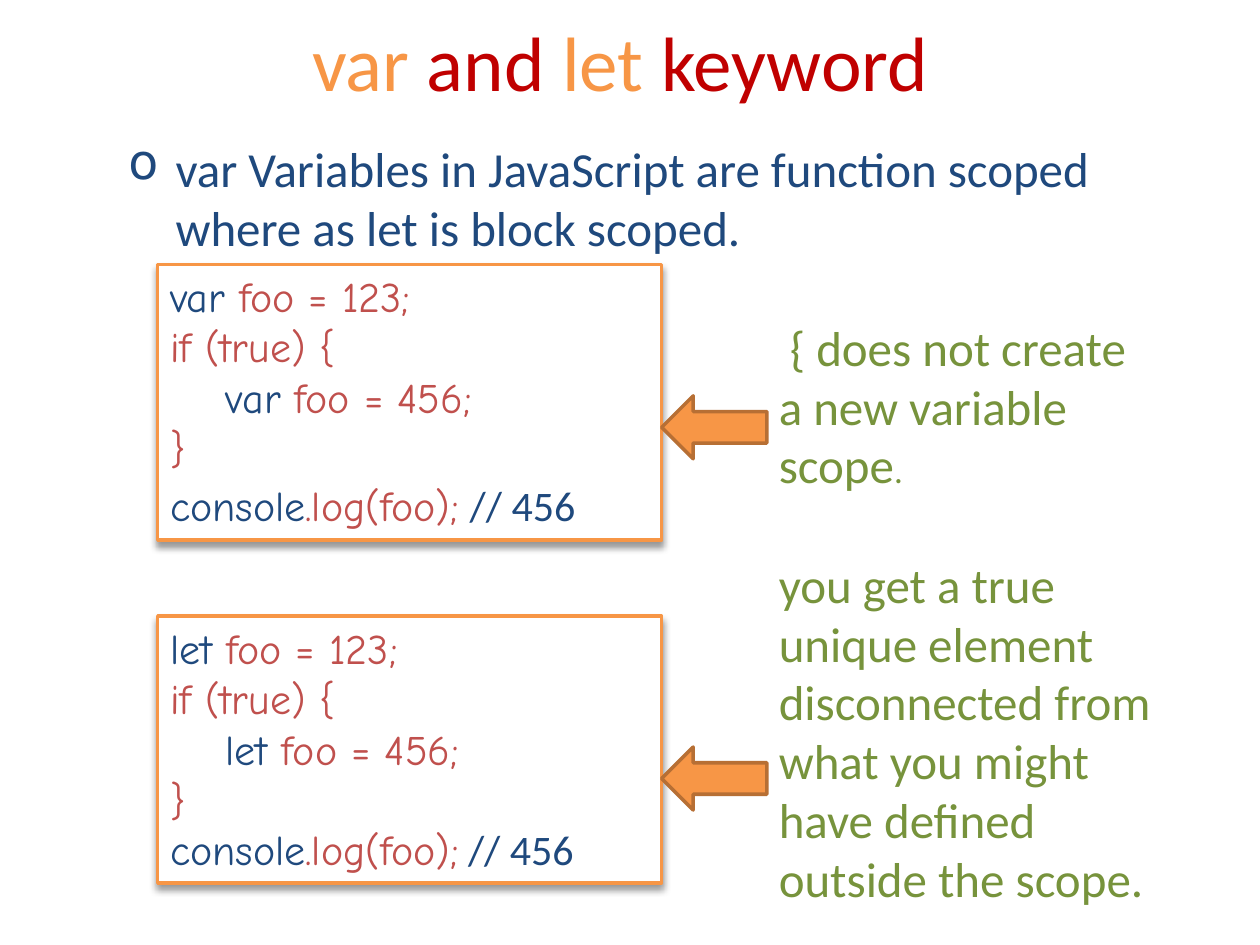
from lxml import etree
from pptx import Presentation
from pptx import util as u
from pptx.dml import color
from pptx.enum import shapes, text
from pptx.oxml import ns

COLORS = {"orange": "F79646", "rust": "B76F34", "crimson": "C00000",
          "red": "C0504D", "navy": "1F497D", "green": "77933C",
          "white": "FFFFFF"}
SHADOW = ('<a:effectLst xmlns:a="%s"><a:outerShdw blurRad="50800" dist="38100" '
          'dir="5400000" rotWithShape="0"><a:srgbClr val="000000">'
          '<a:alpha val="40000"/></a:srgbClr></a:outerShdw></a:effectLst>'
          % ns.nsuri("a"))


def rgb(name):
    return color.RGBColor.from_string(COLORS[name])


def write(sp, paragraphs, font, size, **frame):
    """Fill a shape with paragraphs of (text, colour, font overrides) runs."""
    tf = sp.text_frame
    for key, value in {"word_wrap": True, **frame}.items():
        setattr(tf, key, value)
    for i, runs in enumerate(paragraphs):
        p = tf.paragraphs[0] if i == 0 else tf.add_paragraph()
        p.alignment = text.PP_ALIGN.LEFT
        for words, name, *extra in runs:
            r = p.add_run()
            r.text = words
            fmt = {"name": font, "size": u.Pt(size), **(extra[0] if extra else {})}
            for key, value in fmt.items():
                setattr(r.font, key, value)
            r.font.color.rgb = rgb(name)
    return tf


prs = Presentation()
prs.slide_width, prs.slide_height = u.Cm(25.4), u.Cm(19.05)
s = prs.slides.add_slide(prs.slide_layouts[6])

# Title
sp = s.shapes.add_textbox(u.Cm(1.07), u.Cm(0.2), u.Cm(22.86), u.Cm(2.03))
tf = write(sp, [[("var ", "orange"), ("and ", "crimson"),
                 ("let ", "orange"), ("keyword", "crimson")]],
           "Calibri", 44, vertical_anchor=text.MSO_ANCHOR.MIDDLE)
tf.paragraphs[0].alignment = text.PP_ALIGN.CENTER

# Bulleted statement
sp = s.shapes.add_textbox(u.Cm(2.34), u.Cm(2.67), u.Cm(21.39), u.Cm(2.64))
tf = write(sp, [[("var Variables in JavaScript are function scoped "
                  "where as let is block scoped.", "navy")]], "Calibri", 28)
pPr = tf.paragraphs[0]._p.get_or_add_pPr()
pPr.set("marL", str(u.Cm(0.95)))
pPr.set("indent", str(-u.Cm(0.95)))
etree.SubElement(pPr, ns.qn("a:buChar")).set("char", "o")

# Code boxes, each with an arrow and a remark
# keyword, box top and height, space size, arrow top, remark place, remark
examples = [
    ("var", 5.33, 5.56, 28, 7.98, (6.27, 7.82, 3.84),
     [(" { does not create a new variable scope", "green"),
      (".", "green", {"size": u.Pt(20)})]),
    ("let", 12.42, 5.38, 24, 15.06, (11.05, 8.46, 7.44),
     [("you get a true unique element disconnected from what you might "
       "have defined outside the scope.", "green")]),
]
for keyword, top, height, gap, arrow_top, place, remark in examples:
    sp = s.shapes.add_shape(shapes.MSO_SHAPE.RECTANGLE, u.Cm(3.18), u.Cm(top),
                            u.Cm(10.16), u.Cm(height))
    sp.fill.solid()
    sp.fill.fore_color.rgb = rgb("white")
    sp.line.color.rgb = rgb("orange")
    sp.line.width = u.Pt(2)
    sp._element.spPr.append(etree.fromstring(SHADOW))
    code = [
        [(keyword, "navy"), (" foo = 123;", "red")],
        [("if (true) {", "red")],
        [(keyword, "navy"), (" foo = 456;", "red")],
        [("}", "red")],
        [("console", "navy"), (".log(foo);", "red"),
         (" ", "navy", {"name": "Calibri", "size": u.Pt(gap)}),
         ("// 456", "navy", {"name": "Calibri"})],
    ]
    tf = write(sp, code, "Comic Neue", 24, vertical_anchor=text.MSO_ANCHOR.TOP)
    tf.paragraphs[2]._p.get_or_add_pPr().set("marL", str(u.Cm(1.12)))

    sp = s.shapes.add_shape(shapes.MSO_SHAPE.LEFT_ARROW, u.Cm(13.34),
                            u.Cm(arrow_top), u.Cm(2.12), u.Cm(1.27))
    sp.shadow.inherit = False
    sp.fill.solid()
    sp.fill.fore_color.rgb = rgb("orange")
    sp.line.color.rgb = rgb("rust")
    sp.line.width = u.Pt(2)

    y, w, h = place
    sp = s.shapes.add_textbox(u.Cm(15.45), u.Cm(y), u.Cm(w), u.Cm(h))
    write(sp, [remark], "Calibri", 28)

prs.save("out.pptx")
